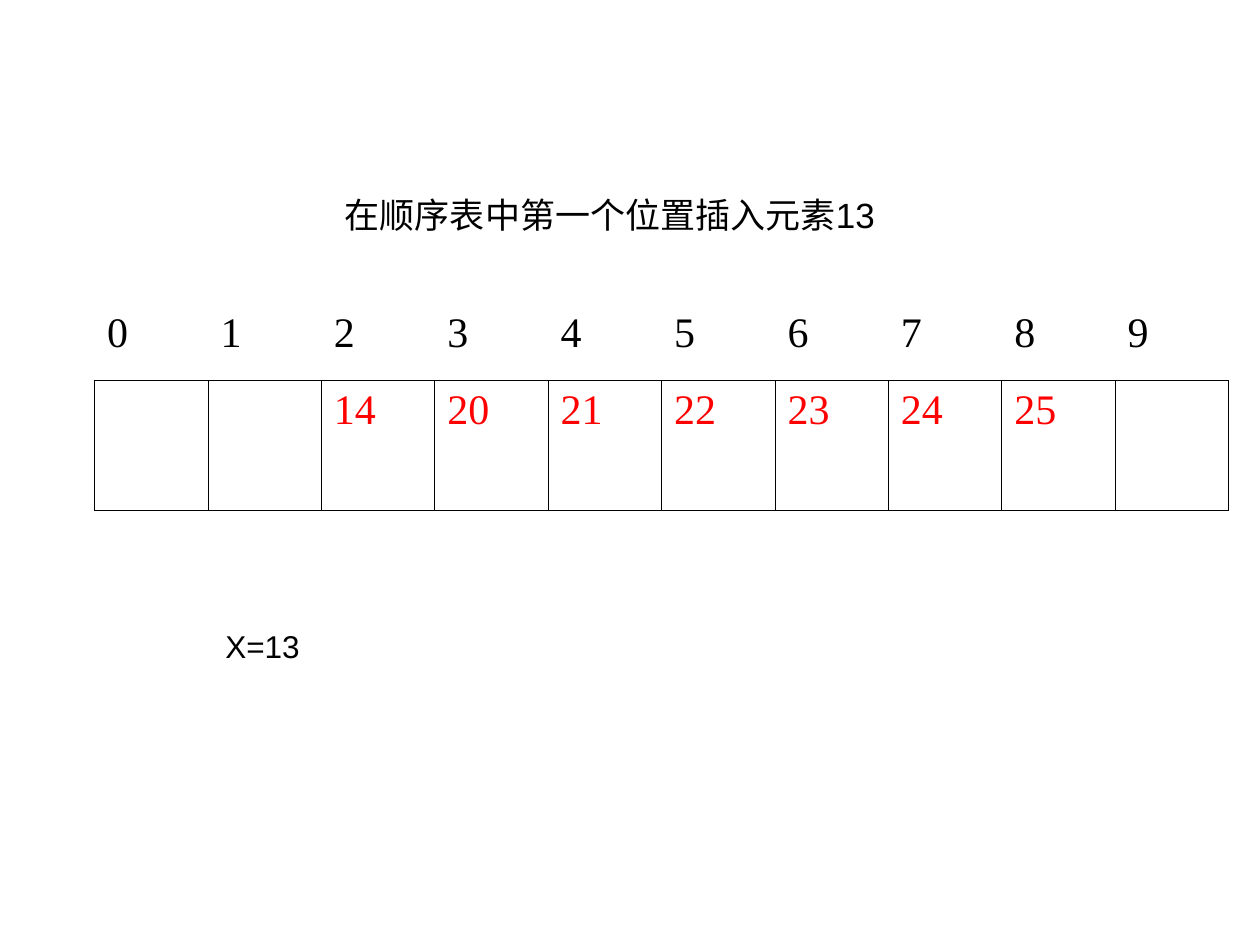
from typing import NamedTuple

from lxml.etree import SubElement
from pptx import Presentation
from pptx.dml.color import RGBColor
from pptx.enum.text import MSO_ANCHOR, PP_ALIGN
from pptx.oxml.ns import qn
from pptx.slide import Slide
from pptx.table import _Cell
from pptx.util import Emu, Pt

EMU_PER_PX = 9144  # 100 px to the inch
BLACK = RGBColor(0x00, 0x00, 0x00)
RED = RGBColor(0xFF, 0x00, 0x00)
BORDER_WIDTH = Pt(0.45)
SIDES = ("L", "R", "T", "B")


class Label(NamedTuple):
    text: str
    left: int
    top: int
    width: int
    height: int
    size: int
    align: PP_ALIGN
    anchor: MSO_ANCHOR


class TableRow(NamedTuple):
    values: list[str]
    height: int
    color: RGBColor
    bordered_sides: str


TABLE_LEFT, TABLE_TOP, COLUMN_WIDTH = 75, 241, 90
ROWS = [
    TableRow([str(index) for index in range(10)], 61, BLACK, "B"),
    TableRow(["", "", "14", "20", "21", "22", "23", "24", "25", ""], 103, RED, "LRTB"),
]
LABELS = [
    Label("在顺序表中第一个位置插入元素13", 59, 139, 850, 63, 20,
          PP_ALIGN.CENTER, MSO_ANCHOR.MIDDLE),
    Label("X=13", 169, 493, 87, 40, 18, PP_ALIGN.LEFT, MSO_ANCHOR.TOP),
]


def px(length: int) -> Emu:
    return Emu(length * EMU_PER_PX)


def set_borders(cell: _Cell, bordered_sides: str) -> None:
    """Draw the named sides in black and hide the others."""
    properties = cell._tc.get_or_add_tcPr()
    for side in SIDES:
        line = SubElement(properties, qn(f"a:ln{side}"), w=str(int(BORDER_WIDTH)))
        if side in bordered_sides:
            fill = SubElement(line, qn("a:solidFill"))
            SubElement(fill, qn("a:srgbClr"), val=str(BLACK))
        else:
            SubElement(line, qn("a:noFill"))


def add_sequence_table(slide: Slide, rows: list[TableRow]) -> None:
    column_count = len(rows[0].values)
    table = slide.shapes.add_table(
        len(rows), column_count, px(TABLE_LEFT), px(TABLE_TOP),
        px(COLUMN_WIDTH * column_count), px(sum(row.height for row in rows)),
    ).table
    table.first_row = False
    table.horz_banding = False
    for row_index, row in enumerate(rows):
        table.rows[row_index].height = px(row.height)
        for column_index, value in enumerate(row.values):
            cell = table.cell(row_index, column_index)
            set_borders(cell, row.bordered_sides)
            cell.fill.background()
            if value:
                cell.text = value
                font = cell.text_frame.paragraphs[0].font
                font.name = "Times New Roman"
                font.size = Pt(24)
                font.color.rgb = row.color


def add_label(slide: Slide, label: Label) -> None:
    shape = slide.shapes.add_textbox(
        px(label.left), px(label.top), px(label.width), px(label.height))
    frame = shape.text_frame
    frame.word_wrap = True
    frame.vertical_anchor = label.anchor
    paragraph = frame.paragraphs[0]
    paragraph.text = label.text
    paragraph.alignment = label.align
    paragraph.font.name = "Arial"
    paragraph.font.size = Pt(label.size)
    paragraph.font.color.rgb = BLACK


def main() -> None:
    presentation = Presentation()
    presentation.slide_width = px(1000)
    presentation.slide_height = px(750)
    slide = presentation.slides.add_slide(presentation.slide_layouts[6])
    add_sequence_table(slide, ROWS)
    for label in LABELS:
        add_label(slide, label)
    presentation.save("out.pptx")


if __name__ == "__main__":
    main()
